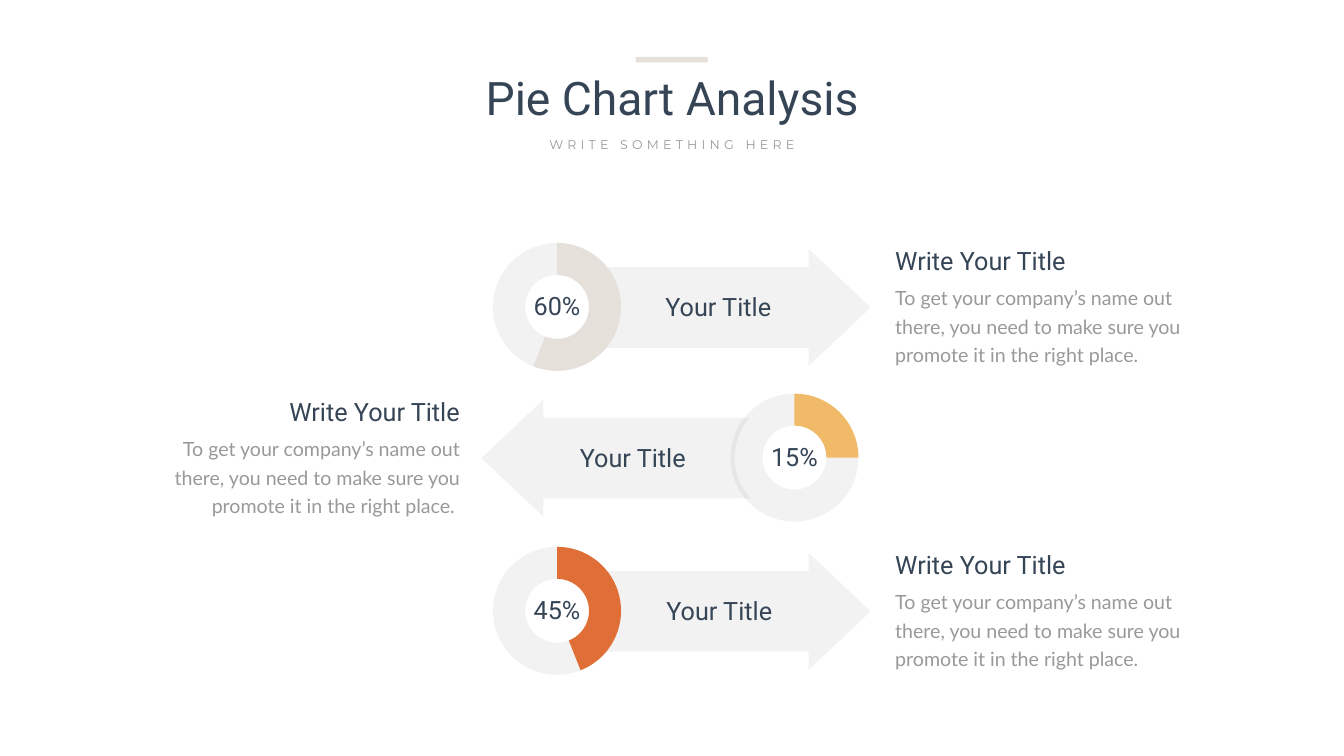
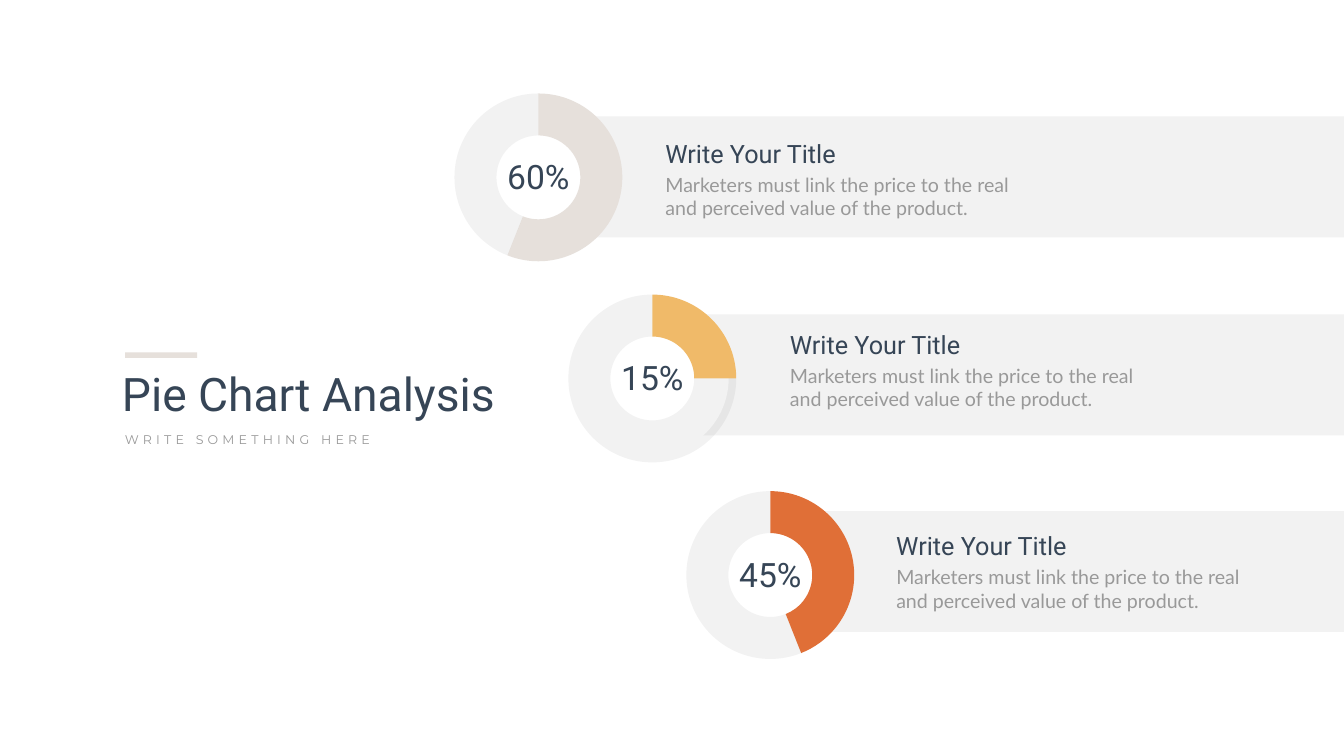
from lxml import etree
from pptx import Presentation
from pptx.chart.data import CategoryChartData
from pptx.dml.color import RGBColor
from pptx.enum import chart as ch, shapes as sh, text as tx
from pptx.oxml.ns import qn
from pptx.util import Inches, Pt

INK, GRAY, SAND, GOLD, RUST = "364556", "999999", "E6E0DB", "F0BA69", "E06F37"
PALE = "808080"
PALE_ALPHA = 10
LEFT, CENTER, RIGHT = tx.PP_ALIGN.LEFT, tx.PP_ALIGN.CENTER, tx.PP_ALIGN.RIGHT
BOX = sh.MSO_SHAPE.RECTANGLE

SLIDE_W, SLIDE_H = 26.66, 15
SHARES = [("60%", 56, SAND), ("15%", 25, GOLD), ("45%", 44, RUST)]
PROMOTE = "To get your company’s name out there, you need to make sure you promote it in the right place."
PRICE = "Marketers must link the price to the real and perceived value of the product."


def paint(part, color, alpha=100):
    """Give a shape or chart point a solid fill, alpha in percent, and no line."""
    fmt = getattr(part, "format", part)
    fmt.fill.solid()
    fmt.fill.fore_color.rgb = RGBColor.from_string(color)
    fmt.line.fill.background()
    if alpha < 100:
        holder = part if fmt is part else fmt
        for srgb in holder.fill._xPr.iter(qn("a:srgbClr")):
            etree.SubElement(srgb, qn("a:alpha")).set("val", str(alpha * 1000))
    if hasattr(part, "shadow"):
        part.shadow.inherit = False


def write(slide, words, x, y, w, h, size=36, font="Roboto", color=INK,
          align=LEFT, leading=None, spacing=None):
    frame = slide.shapes.add_textbox(Inches(x), Inches(y), Inches(w), Inches(h)).text_frame
    frame.word_wrap = True
    frame.auto_size = tx.MSO_AUTO_SIZE.SHAPE_TO_FIT_TEXT
    para = frame.paragraphs[0]
    para.alignment = align
    if leading:
        para.line_spacing = Pt(leading)
    run = para.add_run()
    run.text = words
    run.font.size, run.font.name = Pt(size), font
    run.font.color.rgb = RGBColor.from_string(color)
    if spacing:
        run.font._element.set("spc", str(spacing * 100))


prs = Presentation()
prs.slide_width, prs.slide_height = Inches(SLIDE_W), Inches(SLIDE_H)
arrows_slide, bands_slide = [prs.slides.add_slide(prs.slide_layouts[6]) for _ in range(2)]

# Headings: accent bar, title and subtitle
for slide, align, bar, title, subtitle in [
    (arrows_slide, CENTER, (12.61, 1.13), (7.74, 1.32, 11.19), (10.35, 2.66)),
    (bands_slide, LEFT, (2.48, 6.99), (2.32, 7.19, 8.35), (2.38, 8.53)),
]:
    write(slide, "Pie Chart Analysis", *title, 1.21, size=66, align=align)
    write(slide, "WRITE SOMETHING HERE", *subtitle, 5.96, 0.4, size=18,
          font="Montserrat", color=GRAY, align=align, spacing=6)
    accent = slide.shapes.add_shape(BOX, Inches(bar[0]), Inches(bar[1]), Inches(1.43), Inches(0.11))
    paint(accent, SAND)

# First slide: arrows pointing to their explanations
for arrow_x, mid_y, label_x, copy_x, align in [
    (11.65, 6.09, 13.1, 17.66, LEFT),
    (9.55, 9.08, 10.62, 9.22, RIGHT),
    (11.65, 12.12, 13.12, 17.66, LEFT),
]:
    to_left = align == RIGHT
    direction = sh.MSO_SHAPE.LEFT_ARROW if to_left else sh.MSO_SHAPE.RIGHT_ARROW
    arrow = arrows_slide.shapes.add_shape(
        direction, Inches(arrow_x), Inches(mid_y - 1.15), Inches(5.62), Inches(2.32))
    arrow.adjustments[0], arrow.adjustments[1] = 0.69, 0.53
    paint(arrow, PALE, PALE_ALPHA)
    write(arrows_slide, "Your Title", label_x, mid_y - 0.35, 3.08, 0.71, align=align)
    write(arrows_slide, PROMOTE + (" " if to_left else ""), copy_x - 6.14 * to_left,
          mid_y - 0.56, 6.14, 1.77, size=28, font="Lato", color=GRAY, align=align, leading=40.8)
    write(arrows_slide, "Write Your Title", copy_x - 5.73 * to_left, mid_y - 1.27,
          5.73, 0.71, align=align)

# Second slide: bands running off to the right edge
for band_x, band_y, copy_x, copy_y in [
    (10.81, 2.31, 13.1, 2.7),
    (12.73, 6.24, 15.57, 6.49),
    (15.53, 10.14, 17.68, 10.48),
]:
    band = bands_slide.shapes.add_shape(
        BOX, Inches(band_x), Inches(band_y), Inches(SLIDE_W - band_x), Inches(2.4))
    paint(band, PALE, PALE_ALPHA)
    write(bands_slide, PRICE, copy_x, copy_y + 0.68, 7.52, 1.04, size=28, font="Lato", color=GRAY)
    write(bands_slide, "Write Your Title", copy_x, copy_y, 5.73, 0.71)

# Doughnuts with a white disc behind and the share in the middle
for slide, centers, disc, chart_w, chart_h, ring, label_w, label_h, size in [
    (arrows_slide, [(11.05, 6.09), (15.76, 9.08), (11.05, 12.12)],
     2.37, 3, 2.82, 2.54, 1.44, 0.71, 36),
    (bands_slide, [(10.68, 3.52), (12.94, 7.51), (15.28, 11.41)],
     3.03, 3.85, 3.61, 3.33, 1.85, 0.91, 48),
]:
    for (mid_x, mid_y), (label, share, color) in zip(centers, SHARES):
        backdrop = slide.shapes.add_shape(
            sh.MSO_SHAPE.OVAL, Inches(mid_x - disc / 2), Inches(mid_y - disc / 2),
            Inches(disc), Inches(disc))
        paint(backdrop, "FFFFFF")

        data = CategoryChartData()
        data.categories = ["1", "2"]
        data.add_series("Series 1", [share, 100 - share])
        chart = slide.shapes.add_chart(
            ch.XL_CHART_TYPE.DOUGHNUT, Inches(mid_x - chart_w / 2), Inches(mid_y - chart_h / 2),
            Inches(chart_w), Inches(chart_h), data).chart
        chart.has_legend = chart.has_title = False
        chart.font.size, chart.font.name = Pt(10), "Calibri"
        chart.font.color.rgb = RGBColor.from_string(GRAY)
        points = chart.plots[0].series[0].points
        paint(points[0], color)
        paint(points[1], PALE, PALE_ALPHA)

        chart.plots[0]._element.find(qn("c:holeSize")).set("val", "75")
        plot_area = chart.plots[0]._element.getparent()
        for unset in plot_area.findall(qn("c:layout")):
            plot_area.remove(unset)
        layout = etree.Element(qn("c:layout"))
        plot_area.insert(0, layout)
        manual = etree.SubElement(layout, qn("c:manualLayout"))
        across, down = ring / chart_w, ring / chart_h
        for tag, value in [("layoutTarget", "inner"), ("xMode", "edge"), ("yMode", "edge"),
                           ("x", (1 - across) / 2), ("y", (1 - down) / 2),
                           ("w", across), ("h", down)]:
            etree.SubElement(manual, qn(f"c:{tag}")).set("val", str(value))

        write(slide, label, mid_x - label_w / 2, mid_y - label_h / 2 - 0.02,
              label_w, label_h, size=size, align=CENTER)

prs.save("out.pptx")
